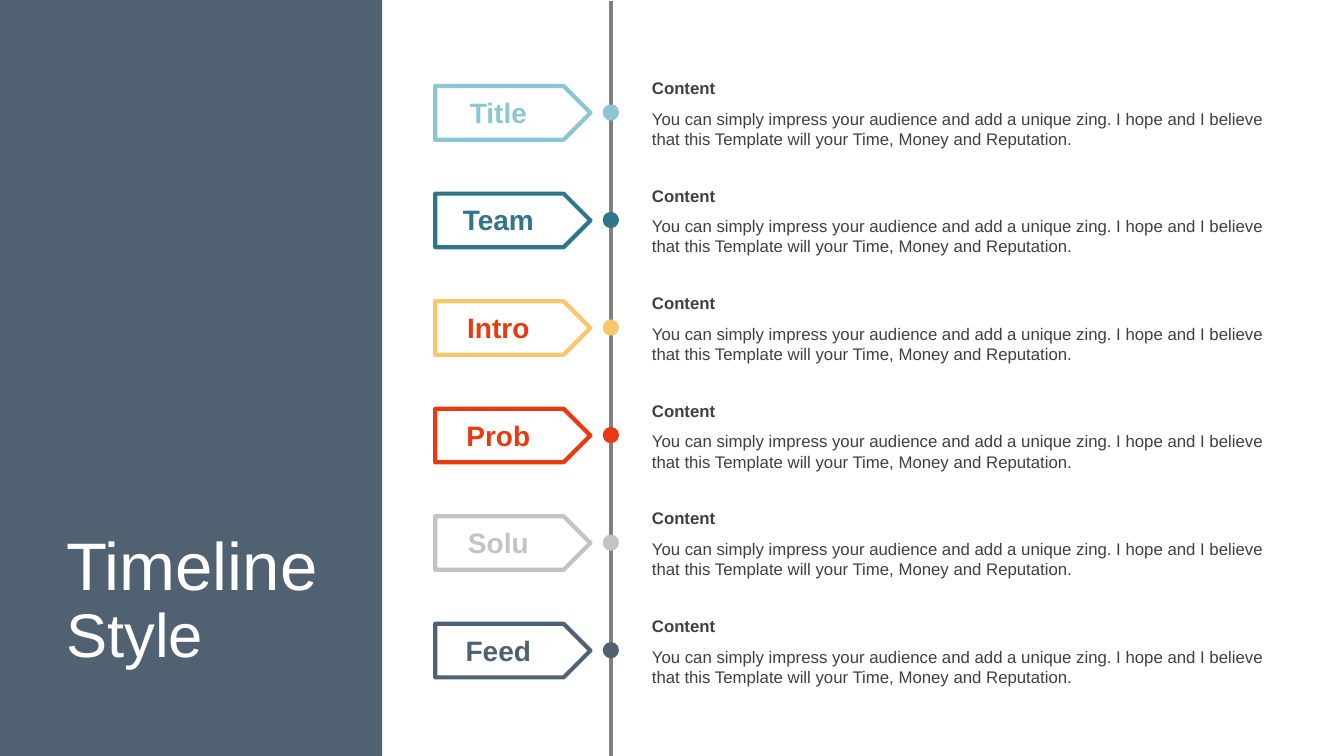
import pptx
import pptx.dml.color
import pptx.enum.shapes
import pptx.enum.text
import pptx.oxml
import pptx.util

Cm = pptx.util.Cm
Pt = pptx.util.Pt
RGBColor = pptx.dml.color.RGBColor
Shape = pptx.enum.shapes.MSO_SHAPE
Align = pptx.enum.text.PP_ALIGN
Anchor = pptx.enum.text.MSO_ANCHOR
AutoSize = pptx.enum.text.MSO_AUTO_SIZE

WHITE = RGBColor(0xFF, 0xFF, 0xFF)
SLATE = RGBColor(0x50, 0x62, 0x72)
SKY = RGBColor(0x8A, 0xC7, 0xD3)
TEAL = RGBColor(0x30, 0x76, 0x89)
YELLOW = RGBColor(0xF7, 0xC7, 0x6A)
RED = RGBColor(0xE9, 0x3A, 0x0F)
SILVER = RGBColor(0xC1, 0xC3, 0xC4)
GRAY = RGBColor(0x80, 0x80, 0x80)
CHARCOAL = RGBColor(0x40, 0x40, 0x40)

FONT = "Arial"
ROW_PITCH = 2.71
BODY = (
    "You can simply impress your audience and add a unique zing. "
    "I hope and I believe that this Template will your Time, Money and Reputation."
)
STEPS = [
    ("Title", SKY, SKY),
    ("Team", TEAL, TEAL),
    ("Intro", YELLOW, RED),
    ("Prob", RED, RED),
    ("Solu", SILVER, SILVER),
    ("Feed", SLATE, SLATE),
]


def add_span(para, text, size, color, bold=False):
    """Append a formatted run to a paragraph."""
    span = para.add_run()
    span.text = text
    span.font.name = FONT
    span.font.size = Pt(size)
    span.font.bold = bold
    span.font.color.rgb = color


def add_text(page, text, *, left, top, width, height, size, color,
             bold=False, align=Align.LEFT, anchor=Anchor.TOP,
             fit=AutoSize.SHAPE_TO_FIT_TEXT):
    """Add a wrapped text box and return its paragraph."""
    box = page.shapes.add_textbox(Cm(left), Cm(top), Cm(width), Cm(height))
    frame = box.text_frame
    frame.word_wrap = True
    frame.auto_size = fit
    frame.vertical_anchor = anchor
    para = frame.paragraphs[0]
    para.alignment = align
    add_span(para, text, size, color, bold)
    return para


def add_block(page, kind, left, top, width, height, fill, line=None):
    """Add a filled preset shape with an optional outline."""
    block = page.shapes.add_shape(kind, Cm(left), Cm(top), Cm(width), Cm(height))
    block.shadow.inherit = False
    block.fill.solid()
    block.fill.fore_color.rgb = fill
    if line is None:
        block.line.fill.background()
    else:
        block.line.color.rgb = line
        block.line.width = Pt(3)


def add_axis(page):
    """Add the vertical timeline."""
    axis = page.shapes.add_connector(
        pptx.enum.shapes.MSO_CONNECTOR.STRAIGHT,
        Cm(15.39), Cm(0.03), Cm(15.39), Cm(19.05))
    axis.line.color.rgb = GRAY
    axis.line.width = Pt(3.5 - 0.5)
    properties = axis._element.spPr
    properties.append(pptx.oxml.parse_xml(
        '<a:effectLst xmlns:a="http://schemas.openxmlformats.org/drawingml/2006/main"/>'))


def add_step(page, offset, label, color, label_color):
    """Add one timeline step: dot, tag, heading and body."""
    add_block(page, Shape.OVAL, 15.19, 2.63 + offset, 0.41, 0.41, color)
    add_block(page, Shape.PENTAGON, 10.97, 2.17 + offset, 3.91, 1.35, WHITE, color)
    add_text(page, label, left=11.38, top=2.28 + offset, width=2.36, height=1.11,
             size=20, color=label_color, bold=True, align=Align.CENTER)
    add_text(page, "Content", left=16.18, top=1.83 + offset, width=16.05, height=0.77,
             size=12, color=CHARCOAL, bold=True, anchor=Anchor.MIDDLE)
    add_text(page, BODY, left=16.18, top=2.61 + offset, width=16.05, height=1.28,
             size=12, color=CHARCOAL)


def add_heading(page):
    """Add the slide title on the side panel."""
    para = add_text(page, "Timeline", left=1.42, top=12.67, width=8.51, height=4.98,
                    size=48, color=WHITE, anchor=Anchor.MIDDLE, fit=AutoSize.NONE)
    para.line_spacing = 0.9
    add_span(para, " Style", 44, WHITE)


def main():
    """Build and save the timeline slide."""
    deck = pptx.Presentation()
    deck.slide_width = Cm(33.87)
    deck.slide_height = Cm(19.05)
    page = deck.slides.add_slide(deck.slide_layouts[6])
    add_block(page, Shape.RECTANGLE, 0, 0, 9.63, 19.05, SLATE)
    add_axis(page)
    for index, (label, color, label_color) in enumerate(STEPS):
        add_step(page, index * ROW_PITCH, label, color, label_color)
    add_heading(page)
    deck.save("out.pptx")


if __name__ == "__main__":
    main()
